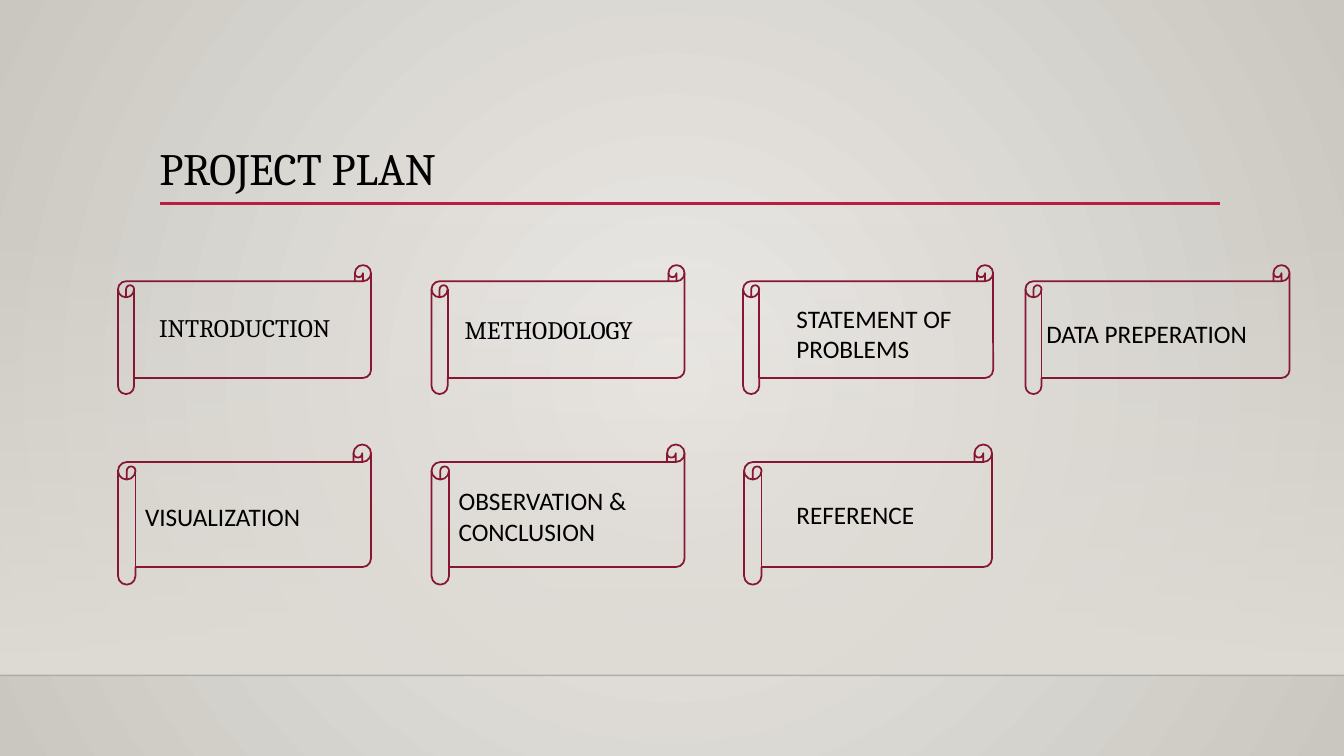
from pptx import Presentation
from pptx.dml.color import RGBColor
from pptx.enum import shapes, text
from pptx.oxml import ns, xmlchemy
from pptx.util import Inches, Pt

THEME = {
    "bg": ("ECEAE7", "CAC7C1"), "band": "DFDBD5", "rule": "B71E42",
    "scroll": "871631", "ink": "000000", "edge": "000001",
    "serif": "Cambria", "sans": "Calibri", "title": 32, "label": 18,
}


def add_xml(parent, tag, **attrs):
    """Append a DrawingML element and return it."""
    el = xmlchemy.OxmlElement(tag)
    for name, value in attrs.items():
        el.set(name, str(value))
    parent.append(el)
    return el


def write(sp, words, font, size):
    """Put one left-aligned run in a shape and return the run."""
    tf = sp.text_frame
    frame = {"word_wrap": True, "auto_size": text.MSO_AUTO_SIZE.NONE,
             "vertical_anchor": text.MSO_ANCHOR.TOP}
    for name, value in frame.items():
        setattr(tf, name, value)
    p = tf.paragraphs[0]
    p.alignment = text.PP_ALIGN.LEFT
    r = p.add_run()
    r.text = words
    for name, value in {"name": font, "size": Pt(size), "bold": False}.items():
        setattr(r.font, name, value)
    r.font.color.rgb = RGBColor.from_string(THEME["ink"])
    return r


prs = Presentation()
prs.slide_width, prs.slide_height = Inches(13.33), Inches(7.5)
s = prs.slides.add_slide(prs.slide_layouts[5])

# Radial background
fill = s.background.fill
fill.gradient()
for stop, color in zip(fill.gradient_stops, THEME["bg"]):
    stop.color.rgb = RGBColor.from_string(color)
grad = next(s._element.iter(ns.qn("a:gradFill")))
grad.remove(grad.find(ns.qn("a:lin")))
radial = add_xml(grad, "a:path", path="circle")
add_xml(radial, "a:fillToRect", l=50000, t=50000, r=50000, b=50000)

# Band that fades in downwards
band = s.shapes.add_shape(shapes.MSO_SHAPE.RECTANGLE, 0, Inches(2.21),
                          prs.slide_width, Inches(4.49))
band.shadow.inherit = False
band.line.fill.background()
band.fill.gradient()
band.fill.gradient_angle = 270
for stop in band.fill.gradient_stops:
    stop.color.rgb = RGBColor.from_string(THEME["band"])
clear = next(band._element.spPr.iter(ns.qn("a:srgbClr")))
add_xml(clear, "a:alpha", val=0)

# Band edge and title rule: left, right, y, colour, width, opacity
for x1, x2, y, color, width, opacity in [
        (0, 13.33, 6.7, THEME["edge"], 1, 20),
        (1.59, 12.1, 2.02, THEME["rule"], 2.5, 100)]:
    line = s.shapes.add_connector(shapes.MSO_CONNECTOR.STRAIGHT, Inches(x1),
                                  Inches(y), Inches(x2), Inches(y))
    line.line.color.rgb = RGBColor.from_string(color)
    line.line.width = Pt(width)
    clr = next(line._element.spPr.iter(ns.qn("a:srgbClr")))
    add_xml(clr, "a:alpha", val=opacity * 1000)
    add_xml(line._element.spPr, "a:effectLst")

# Title with a soft text shadow
title = s.shapes.title
for name, value in zip(("left", "top", "width", "height"), (1.48, 1.35, 3.4, 0.64)):
    setattr(title, name, Inches(value))
r = write(title, "PROJECT PLAN", THEME["serif"], THEME["title"])
effects = xmlchemy.OxmlElement("a:effectLst")
shadow = add_xml(effects, "a:outerShdw", blurRad=38100, dist=38100, dir=2700000,
                 algn="tl")
add_xml(add_xml(shadow, "a:srgbClr", val=THEME["ink"]), "a:alpha", val=43000)
r._r.rPr.find(ns.qn("a:solidFill")).addnext(effects)

# Plan steps: scroll left and width, label left, top and width, words, font
serif, sans = THEME["serif"], THEME["sans"]
rows = [
    (2.63, 1.28, [
        (1.17, 2.51, 1.48, 3.05, 2.63, "INTRODUCTION", serif),
        (4.28, 2.51, 4.51, 3.07, 2.88, "METHODOLOGY", serif),
        (7.37, 2.48, 7.8, 2.96, 2.15, "STATEMENT OF PROBLEMS", sans),
        (10.17, 2.62, 10.28, 3.11, 2.63, "DATA PREPERATION", sans)]),
    (4.41, 1.39, [
        (1.17, 2.51, 1.34, 4.92, 2.17, "VISUALIZATION", sans),
        (4.28, 2.51, 4.45, 4.77, 2.15, "OBSERVATION & CONCLUSION", sans),
        (7.38, 2.46, 7.8, 4.9, 2.05, "REFERENCE", sans)]),
]
for top, height, steps in rows:
    for left, width, label_x, label_y, label_w, words, font in steps:
        scroll = s.shapes.add_shape(shapes.MSO_SHAPE.HORIZONTAL_SCROLL, Inches(left),
                                    Inches(top), Inches(width), Inches(height))
        scroll.shadow.inherit = False
        scroll.fill.background()
        scroll.line.color.rgb = RGBColor.from_string(THEME["scroll"])
        scroll.line.width = Pt(1.25)
        label = s.shapes.add_textbox(Inches(label_x), Inches(label_y),
                                     Inches(label_w), Inches(0.4))
        write(label, words, font, THEME["label"])

prs.save("out.pptx")
